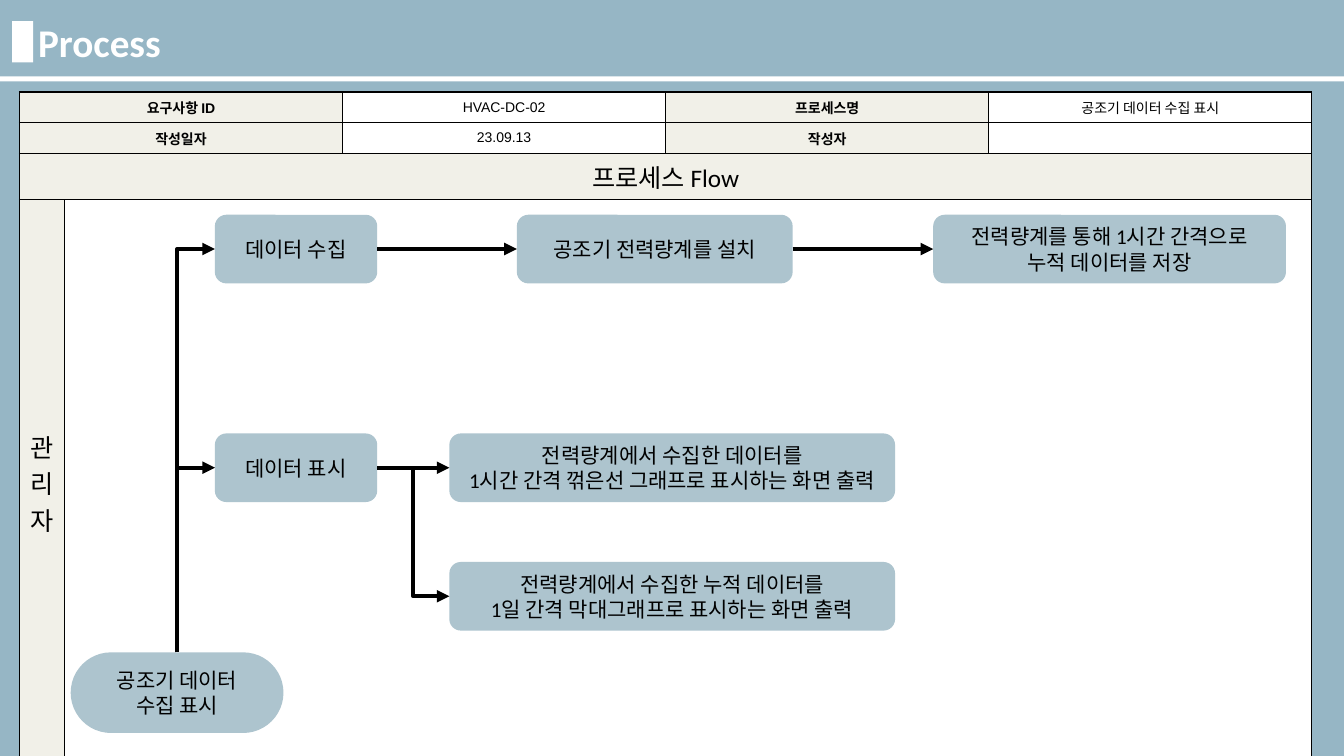
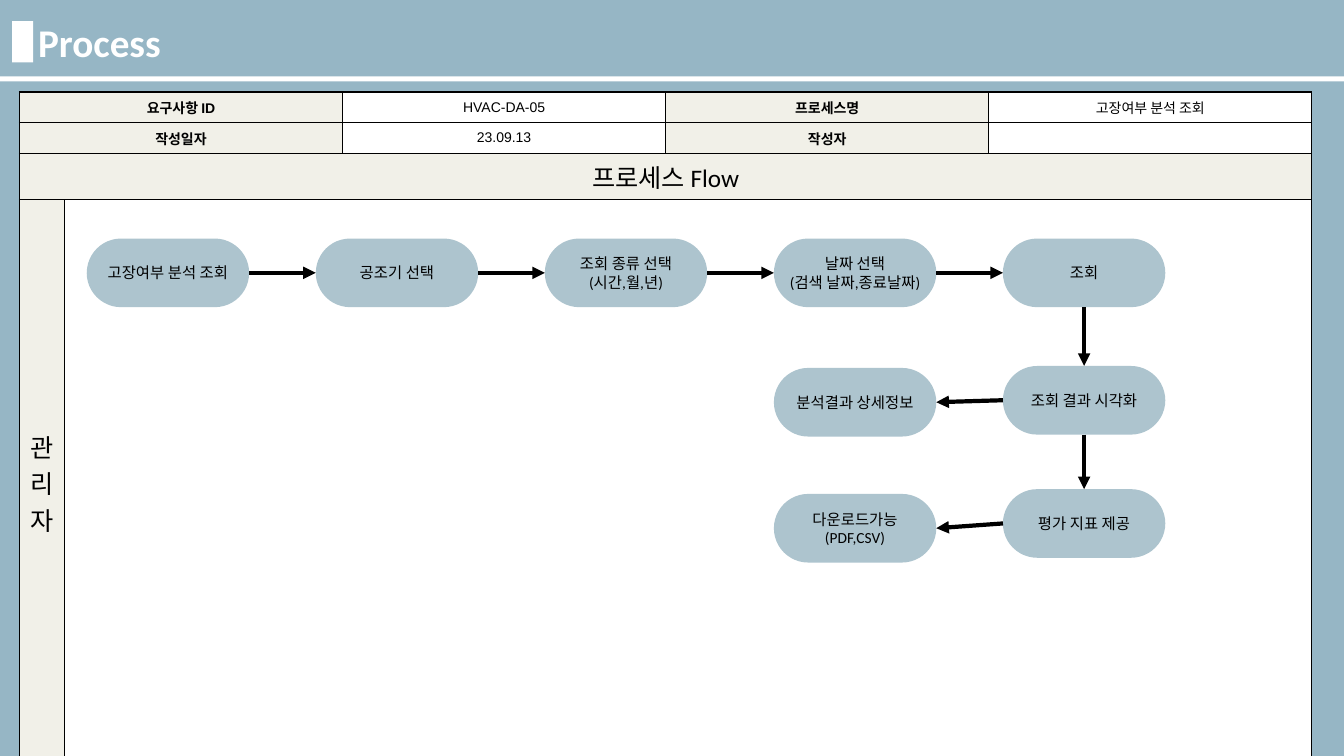
from dataclasses import dataclass
from lxml import etree
from pptx import Presentation
from pptx.dml.color import RGBColor
from pptx.enum import shapes, text
from pptx.oxml.ns import qn
from pptx.util import Pt


@dataclass(frozen=True)
class Theme:
    back: str = "96B6C5"
    box: str = "ADC4CE"
    head: str = "F1F0E8"
    white: str = "FFFFFF"
    black: str = "000000"
    body: str = "Calibri"
    label: str = "Arial"
    title: int = 28
    flow: int = 18
    cell: int = 10


theme = Theme()
TOP, LEFT, BASE, RIGHT = range(4)
ROUND, PILL = 0.167, 0.5
COLS = (32.2, 198.6, 230.8, 230.8, 230.8)
ROWS = (22, 22, 33, 404)
BARS = ((8.6, 15.1, 15.1, 29.5), (0, 54.5, 960, 3.6))
HIGH, WIDE = 49, 116
STEP = 163.6
TIERS = (170.4, 261.4, 349.4)


def grid(col, row, shift=0):
    return 62 + col * STEP, TIERS[row] + shift, WIDE, HIGH, PILL


collect = {
    "code": "HVAC-DC-02",
    "name": "공조기 데이터 수집 표시",
    "size": 15,
    "boxes": {
        "start": ("공조기 데이터\n수집 표시", 50.5, 466, 152, 57.6, PILL),
        "gather": ("데이터 수집", 153.5, 153.4, WIDE, HIGH, ROUND),
        "show": ("데이터 표시", 153.5, 309.6, WIDE, HIGH, ROUND),
        "meter": ("공조기 전력량계를 설치", 369.2, 153.4, 197, HIGH, ROUND),
        "hour": ("전력량계에서 수집한 데이터를\n1시간 간격 꺾은선 그래프로 표시하는 화면 출력",
                 321, 309.6, 318.4, HIGH, ROUND),
        "store": ("전력량계를 통해 1시간 간격으로\n누적 데이터를 저장",
                  666.6, 153.4, 252, HIGH, ROUND),
        "day": ("전력량계에서 수집한 누적 데이터를\n1일 간격 막대그래프로 표시하는 화면 출력",
                321, 401.4, 318.4, HIGH, ROUND),
    },
    "links": (
        ("start", TOP, "gather", LEFT),
        ("start", TOP, "show", LEFT),
        ("gather", RIGHT, "meter", LEFT),
        ("meter", RIGHT, "store", LEFT),
        ("show", RIGHT, "hour", LEFT),
        ("show", RIGHT, "day", LEFT),
    ),
}
inspect = {
    "code": "HVAC-DA-05",
    "name": "고장여부 분석 조회",
    "size": 11,
    "boxes": {
        "start": ("고장여부 분석 조회", *grid(0, 0)),
        "unit": ("공조기 선택", *grid(1, 0)),
        "type": ("조회 종류 선택\n(시간,월,년)", *grid(2, 0)),
        "date": ("날짜 선택\n(검색 날짜,종료날짜)", *grid(3, 0)),
        "query": ("조회", *grid(4, 0)),
        "chart": ("조회 결과 시각화", *grid(4, 1)),
        "score": ("평가 지표 제공", *grid(4, 2)),
        "detail": ("분석결과 상세정보", *grid(3, 1, 1.4)),
        "file": ("다운로드가능\n(PDF,CSV)", *grid(3, 2, 3.4)),
    },
    "links": (
        ("start", RIGHT, "unit", LEFT),
        ("unit", RIGHT, "type", LEFT),
        ("type", RIGHT, "date", LEFT),
        ("date", RIGHT, "query", LEFT),
        ("query", BASE, "chart", TOP),
        ("chart", BASE, "score", TOP),
        ("chart", LEFT, "detail", RIGHT),
        ("score", LEFT, "file", RIGHT),
    ),
}


def rgb(code):
    return RGBColor.from_string(code)


def paint(item, code):
    item.fill.solid()
    item.fill.fore_color.rgb = rgb(code)


def write(frame, words, size, font=theme.body, color=theme.black, bold=False,
          align=text.PP_ALIGN.CENTER):
    frame.text = words
    for para in frame.paragraphs:
        para.alignment = align
        para.font.size = Pt(size)
        para.font.name = font
        para.font.bold = bold
        para.font.color.rgb = rgb(color)


def block(slide, kind, area, color):
    shape = slide.shapes.add_shape(kind, *map(Pt, area))
    shape.shadow.inherit = False
    shape.line.fill.background()
    paint(shape, color)
    return shape


def border(cell):
    props = cell._tc.get_or_add_tcPr()
    for side in ("lnL", "lnR", "lnT", "lnB"):
        line = etree.SubElement(props, qn("a:" + side), w=str(Pt(1)))
        fill = etree.SubElement(line, qn("a:solidFill"))
        etree.SubElement(fill, qn("a:srgbClr"), val=theme.black)


def sheet(slide, page):
    area = map(Pt, (13.9, 65.7, sum(COLS), sum(ROWS)))
    table = slide.shapes.add_table(len(ROWS), len(COLS), *area).table
    for col, wide in zip(table.columns, COLS):
        col.width = Pt(wide)
    for row, high in zip(table.rows, ROWS):
        row.height = Pt(high)
    for cell in table.iter_cells():
        border(cell)
        paint(cell, theme.white)
        cell.margin_top = cell.margin_bottom = 0
        cell.vertical_anchor = text.MSO_ANCHOR.MIDDLE
    for row, first, last in ((0, 0, 1), (1, 0, 1), (2, 0, 4), (3, 1, 4)):
        table.cell(row, first).merge(table.cell(row, last))
    facts = (("요구사항 ID", page["code"], "프로세스명", page["name"]),
             ("작성일자", "23.09.13", "작성자", ""))
    for row, line in enumerate(facts):
        for col, words in zip((0, 2, 3, 4), line):
            cell = table.cell(row, col)
            head = col in (0, 3)
            write(cell.text_frame, words, theme.cell, theme.label, bold=head)
            if head:
                paint(cell, theme.head)
    for row, words in ((2, "프로세스 Flow"), (3, "관리자")):
        cell = table.cell(row, 0)
        write(cell.text_frame, words, theme.flow)
        paint(cell, theme.head)


def node(slide, size, words, left, top, wide, high, curve):
    shape = block(slide, shapes.MSO_SHAPE.ROUNDED_RECTANGLE,
                  (left, top, wide, high), theme.box)
    shape.adjustments[0] = curve
    frame = shape.text_frame
    frame.word_wrap = False
    frame.vertical_anchor = text.MSO_ANCHOR.MIDDLE
    write(frame, words, size)
    return shape


def corner(link):
    mid = link.left + link.width // 2, link.top + link.height // 2
    link.width, link.height = link.height, link.width
    link.left, link.top = mid[0] - link.width // 2, mid[1] - link.height // 2
    props = link._element.spPr
    props.find(qn("a:prstGeom")).set("prst", "bentConnector2")
    frame = props.find(qn("a:xfrm"))
    for key, value in (("rot", "5400000"), ("flipH", "1"), ("flipV", "1")):
        frame.set(key, value)


def join(slide, start, out, end, into):
    kinds = shapes.MSO_CONNECTOR
    link = slide.shapes.add_connector(kinds.STRAIGHT, 0, 0, 0, 0)
    link.begin_connect(start, out)
    link.end_connect(end, into)
    link.line.width = Pt(3)
    link.line.color.rgb = rgb(theme.black)
    props = link._element.spPr
    etree.SubElement(props.find(qn("a:ln")), qn("a:tailEnd"), type="triangle")
    etree.SubElement(props, qn("a:effectLst"))
    if out == TOP:
        corner(link)
    elif out == RIGHT and link.height > Pt(5):
        props.find(qn("a:prstGeom")).set("prst", "bentConnector3")


def build(deck, layout, page):
    slide = deck.slides.add_slide(layout)
    frame = slide.shapes.title.text_frame
    frame.vertical_anchor = text.MSO_ANCHOR.TOP
    frame.auto_size = text.MSO_AUTO_SIZE.NONE
    write(frame, "Process", theme.title, color=theme.white, bold=True,
          align=text.PP_ALIGN.LEFT)
    for area in BARS:
        block(slide, shapes.MSO_SHAPE.RECTANGLE, area, theme.white)
    sheet(slide, page)
    nodes = {key: node(slide, page["size"], *spec)
             for key, spec in page["boxes"].items()}
    for start, out, end, into in page["links"]:
        join(slide, nodes[start], out, nodes[end], into)


deck = Presentation()
deck.slide_width, deck.slide_height = Pt(960), Pt(540)
layout = deck.slide_layouts[5]
paint(layout.background, theme.back)
title = layout.placeholders[0]
title.left, title.top, title.width, title.height = map(Pt, (20, 9.4, 862, 41.2))
for page in (collect, inspect):
    build(deck, layout, page)
deck.save("out.pptx")
